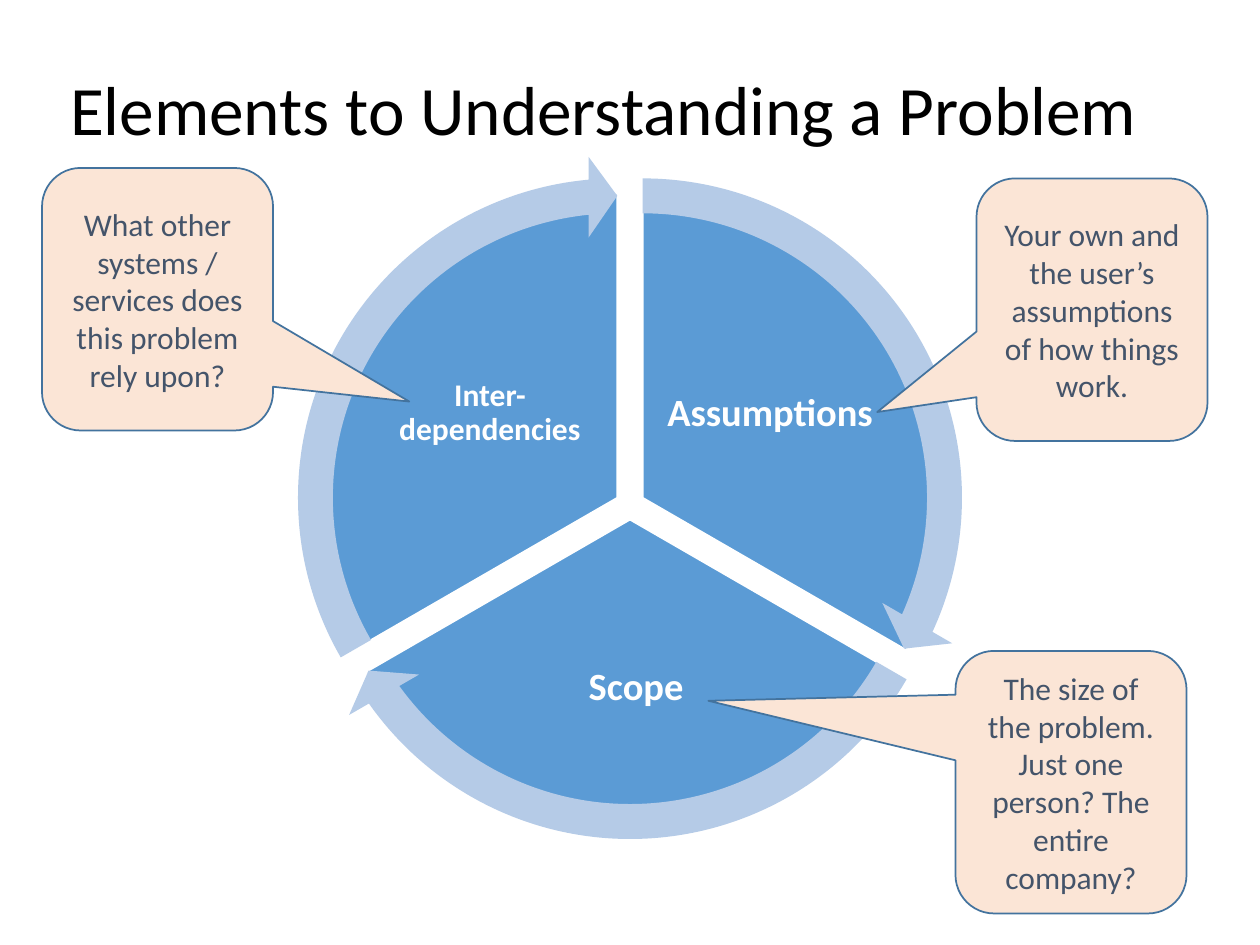
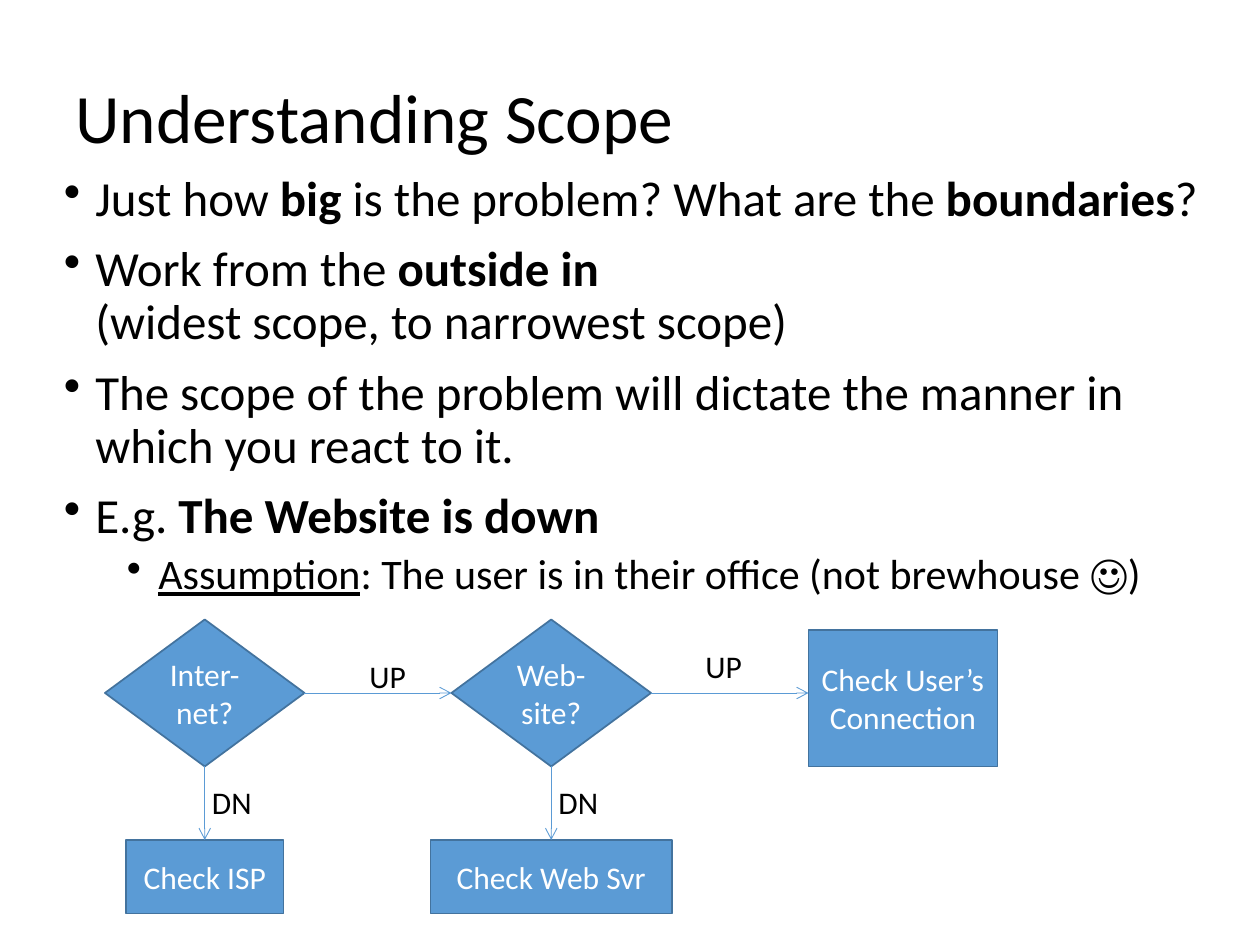
import math
import pptx
import pptx.util
import pptx.dml.color
import pptx.enum.shapes
import pptx.enum.text
import pptx.oxml
import pptx.oxml.ns

SHAPE = pptx.enum.shapes.MSO_SHAPE
ALIGN = pptx.enum.text.PP_ALIGN
ANCHOR = pptx.enum.text.MSO_ANCHOR

# Shared look: a grid of 120 columns by 90 rows on a 10 by 7.5 inch slide
COLUMNS, ROWS = 120, 90
WIDTH, HEIGHT = pptx.util.Inches(10), pptx.util.Inches(7.5)
FONT = "Calibri"
BLACK, WHITE = "000000", "FFFFFF"
BLUE, EDGE, PALE_BLUE = "5B9BD5", "43739E", "B5CBE7"
PEACH, SLATE = "FBE5D6", "44546A"
TITLE_SIZE, TEXT_SIZE = 39.6, 18


def rgb(code):
    return pptx.dml.color.RGBColor.from_string(code)


def col(n):
    return int(WIDTH * n / COLUMNS)


def row(n):
    return int(HEIGHT * n / ROWS)


def place(box):
    x, y, w, h = box
    return col(x), row(y), col(w), row(h)


def add_runs(paragraph, runs, size, color):
    """Each run is (text, style); b is bold, u is underlined, a newline breaks the line."""
    for text, style in runs:
        if text == "\n":
            paragraph.add_line_break()
            continue
        run = paragraph.add_run()
        run.text = text
        font = run.font
        font.name, font.size = FONT, pptx.util.Pt(size)
        font.color.rgb = rgb(color)
        font.bold = "b" in style
        font.underline = "u" in style


def add_text(slide, box, text, size, color, style="", align=ALIGN.LEFT,
             anchor=ANCHOR.MIDDLE, spacing=None, inset=None, wrap=True):
    frame = slide.shapes.add_textbox(*place(box)).text_frame
    frame.word_wrap, frame.vertical_anchor = wrap, anchor
    if inset is not None:
        frame.margin_left = frame.margin_right = pptx.util.Inches(inset)
        frame.margin_top = frame.margin_bottom = pptx.util.Inches(inset)
    paragraph = frame.paragraphs[0]
    paragraph.alignment, paragraph.line_spacing = align, spacing
    add_runs(paragraph, [(text, style)], size, color)


def add_figure(slide, kind, box, fill, line=None, adjust=(), text="", color=WHITE):
    figure = slide.shapes.add_shape(kind, *place(box))
    figure.shadow.inherit = False
    figure.fill.solid()
    figure.fill.fore_color.rgb = rgb(fill)
    if line:
        figure.line.color.rgb = rgb(line)
        figure.line.width = pptx.util.Pt(1)
    else:
        figure.line.fill.background()
    for i, value in enumerate(adjust):
        figure.adjustments[i] = value
    if text:
        frame = figure.text_frame
        frame.word_wrap, frame.vertical_anchor = True, ANCHOR.MIDDLE
        frame.paragraphs[0].alignment = ALIGN.CENTER
        add_runs(frame.paragraphs[0], [(text, "")], TEXT_SIZE, color)


def add_arrow(slide, x1, y1, x2, y2):
    arrow = slide.shapes.add_connector(pptx.enum.shapes.MSO_CONNECTOR.STRAIGHT,
                                       col(x1), row(y1), col(x2), row(y2))
    arrow.line.color.rgb = rgb(BLUE)
    arrow.line.width = pptx.util.Pt(0.5)
    namespace = pptx.oxml.ns.nsdecls("a")
    arrow.line._get_or_add_ln().append(
        pptx.oxml.parse_xml(f'<a:tailEnd {namespace} type="arrow"/>'))
    arrow._element.spPr.append(pptx.oxml.parse_xml(f"<a:effectLst {namespace}/>"))


def add_title(slide, box, text):
    add_text(slide, box, text, TITLE_SIZE, BLACK, spacing=0.9)


def centred(x, y, w, h):
    return x - w / 2, y - h / 2, w, h


def add_wheel(slide, box, slices):
    """Three slices pushed outwards, each with a label, under a ring of arrows."""
    x, y, size, _ = box
    mid_x, mid_y = x + size / 2, y + size / 2
    ring, gap, head = size * 1.124, size * 0.024, 3.275
    per_degree = 0.6  # angle adjustments count 0.6 to the degree
    step = 360 / len(slices)
    arrows = []
    for i, (label, text_size, dx, dy, w, h) in enumerate(slices):
        start = (270 + i * step) % 360
        end = (start + step) % 360
        push = math.radians(start + step / 2)
        hub = mid_x + gap * math.cos(push), mid_y + gap * math.sin(push)
        start, end = start * per_degree, end * per_degree
        add_figure(slide, SHAPE.PIE, centred(*hub, size, size), BLUE, WHITE, (start, end))
        add_text(slide, centred(mid_x + dx * size, mid_y + dy * size, w * size, h * size),
                 label, text_size, WHITE, "b", ALIGN.CENTER, spacing=0.9, inset=0.03)
        arrows.append((hub, (0.051, head, end - head, start, 0.059)))
    for hub, adjust in arrows:
        add_figure(slide, SHAPE.CIRCULAR_ARROW, centred(*hub, ring, ring),
                   PALE_BLUE, adjust=adjust)


def add_callout(slide, box, tip, text):
    add_figure(slide, SHAPE.ROUNDED_RECTANGULAR_CALLOUT, box, PEACH, EDGE,
               (*tip, 0.167), text, SLATE)


def add_bullets(slide, box, items):
    frame = slide.shapes.add_textbox(*place(box)).text_frame
    frame.word_wrap = True
    for i, (level, runs) in enumerate(items):
        paragraph = frame.paragraphs[0] if i == 0 else frame.add_paragraph()
        paragraph.level, paragraph.line_spacing = level, 0.9
        paragraph.space_before = pptx.util.Pt((10, 5)[level])
        properties = paragraph._p.get_or_add_pPr()
        properties.set("marL", str(pptx.util.Inches(0.25 + 0.5 * level)))
        properties.set("indent", str(-pptx.util.Inches(0.25)))
        properties.append(pptx.oxml.parse_xml(
            f'<a:buChar {pptx.oxml.ns.nsdecls("a")} char="•"/>'))
        add_runs(paragraph, runs, (28, 24)[level], BLACK)


def add_flow(slide, box):
    """Two questions in a row; DN leads down to a check, UP leads to the right."""
    x, y, w, h = box
    question_w, question_h, pitch = 19, 14, 33
    checks_y, check_h = y + 21, h - 21
    last_x = x + 2 * pitch + 1
    middle = y + question_h / 2
    questions = [("Inter-net?", "Check ISP", 2, 15, 24, 3),
                 ("Web-site?", "Check Web Svr", -2, 23, 23, 2)]
    for i, (question, check, check_dx, check_w, up_dx, up_dy) in enumerate(questions):
        left = x + i * pitch
        axis = left + question_w / 2
        target = (x + pitch, last_x)[i]
        add_figure(slide, SHAPE.DIAMOND, (left, y, question_w, question_h),
                   BLUE, EDGE, text=question)
        add_figure(slide, SHAPE.RECTANGLE, (left + check_dx, checks_y, check_w, check_h),
                   BLUE, EDGE, text=check)
        add_arrow(slide, left + question_w, middle, target, middle)
        add_arrow(slide, axis, y + question_h, axis, checks_y)
        for answer, dx, dy, width in (("UP", up_dx, up_dy, 6.1), ("DN", 9, 15, 7.1)):
            add_text(slide, (left + dx, y + dy, width, 4.8), answer, TEXT_SIZE, BLACK,
                     anchor=ANCHOR.TOP, wrap=False)
    add_figure(slide, SHAPE.RECTANGLE, (last_x, y + 1, x + w - last_x, question_h - 1),
               BLUE, EDGE, text="Check User’s Connection")


deck = pptx.Presentation()
deck.slide_width, deck.slide_height = WIDTH, HEIGHT
blank = deck.slide_layouts[6]

# Slide 1: the three elements and a remark on each
elements = deck.slides.add_slide(blank)
add_title(elements, (5.5, 5.8, 108, 10), "Elements to Understanding a Problem")
add_wheel(elements, (31, 19.1, 58, 58), [
    # label, text size, then offset from the hub and size as shares of the wheel
    ("Assumptions", 22, 0.23, -0.15, 0.36, 0.3),
    ("Scope", 22, 0.01, 0.3, 0.54, 0.26),
    ("Inter-dependencies", 18, -0.23, -0.15, 0.36, 0.3),
])
for left, top, tip, remark in [
    (93, 17, (-0.93, 0.39), "Your own and the user’s assumptions of how things work."),
    (91, 62, (-1.57, -0.31), "The size of the problem. Just one person? The entire company?"),
    (4, 16, (1.09, 0.39), "What other systems / services does this problem rely upon?"),
]:
    add_callout(elements, (left, top, 22, 25), tip, remark)

# Slide 2: scope, with an example flow
scope = deck.slides.add_slide(blank)
add_title(scope, (6, 7, 108, 9), "Understanding Scope")
add_bullets(scope, (4.9, 16, 111.6, 43), [
    (0, [("Just how ", ""), ("big ", "b"), ("is the problem? What are the ", ""),
         ("boundaries", "b"), ("?", "")]),
    (0, [("Work from the ", ""), ("outside in", "b"), ("\n", ""),
         ("(widest scope, to narrowest scope)", "")]),
    (0, [("The scope of the problem will dictate the manner in which you react to it.", "")]),
    (0, [("E.g. ", ""), ("The Website is down", "b")]),
    (1, [("Assumption", "u"), (": The user is in their office (not brewhouse ☺)", "")]),
])
add_flow(scope, (10, 59, 85, 28))

deck.save("out.pptx")
